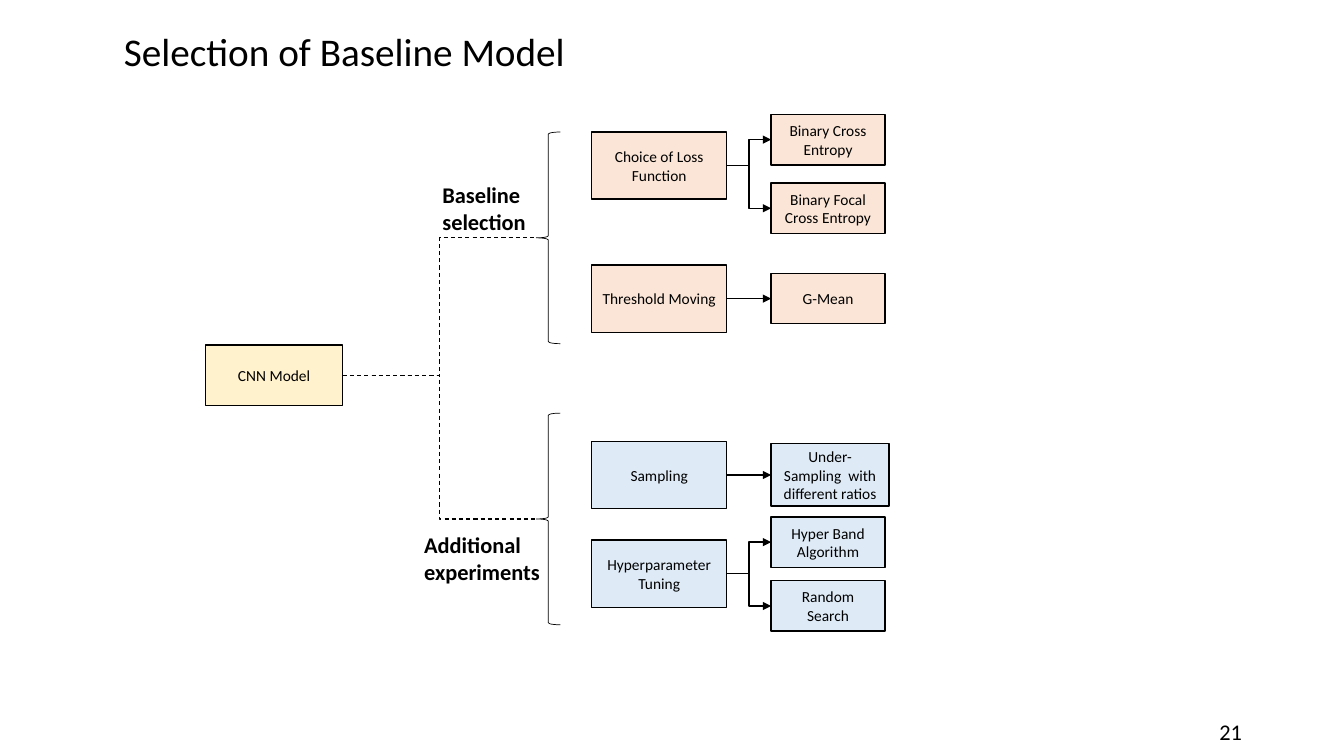
from dataclasses import dataclass

from lxml import etree
from pptx import Presentation
from pptx.dml.color import RGBColor
from pptx.enum.dml import MSO_LINE
from pptx.enum.shapes import MSO_CONNECTOR, MSO_SHAPE
from pptx.enum.text import MSO_ANCHOR, PP_ALIGN
from pptx.oxml.ns import qn
from pptx.shapes.autoshape import Shape
from pptx.slide import Slide
from pptx.util import Emu, Inches, Pt

RECT, BRACE = MSO_SHAPE.RECTANGLE, MSO_SHAPE.LEFT_BRACE
STRAIGHT, ELBOW = MSO_CONNECTOR.STRAIGHT, MSO_CONNECTOR.ELBOW
DASH, MIDDLE = MSO_LINE.DASH, MSO_ANCHOR.MIDDLE
LEFT, CENTER, RIGHT = PP_ALIGN.LEFT, PP_ALIGN.CENTER, PP_ALIGN.RIGHT

BLACK = RGBColor(0x00, 0x00, 0x00)
PEACH = RGBColor(0xFB, 0xE5, 0xD6)
BLUE = RGBColor(0xDE, 0xEB, 0xF7)
CREAM = RGBColor(0xFF, 0xF2, 0xCC)
FONT = "Calibri"

# Grid of square cells: 40 columns across the slide, 22.5 rows down
SLIDE_W, SLIDE_H = Inches(13.33), Inches(7.5)
CELL = SLIDE_W / 40
STEP_COL, STEP_W, STEP_H = 17.61, 4.02, 2
LEAF_COL, LEAF_W, LEAF_H = 22.95, 3.39, 1.5
BRACE_COL, BRACE_W, BRACE_H = 15.96, 0.72, 6.3
LEFT_SIDE, RIGHT_SIDE = 1, 3


@dataclass(frozen=True)
class Leaf:
    text: str
    mid_row: float
    width: float = LEAF_W
    height: float = LEAF_H


@dataclass(frozen=True)
class Step:
    text: str
    mid_row: float
    leaves: tuple[Leaf, ...]


@dataclass(frozen=True)
class Branch:
    label: tuple[str, ...]
    label_col: float
    label_row: float
    brace_row: float
    fill: RGBColor
    steps: tuple[Step, ...]


BRANCHES = (
    Branch(("Baseline", "selection"), 12.87, 5.25, 3.93, PEACH, (
        Step("Choice of Loss Function", 4.93, (
            Leaf("Binary Cross Entropy", 4.16),
            Leaf("Binary Focal Cross Entropy", 6.2))),
        Step("Threshold Moving", 8.89, (Leaf("G-Mean", 8.89),)),
    )),
    Branch(("Additional", "experiments"), 12.33, 15.66, 12.3, BLUE, (
        Step("Sampling", 14.14, (
            Leaf("Under-Sampling  with different ratios", 14.14, 3.51, 1.86),)),
        Step("Hyperparameter Tuning", 17.08, (
            Leaf("Hyper Band Algorithm", 16.14),
            Leaf("Random Search", 18.04))),
    )),
)


def cells(n: float) -> Emu:
    return Emu(round(n * CELL))


def write(s: Shape, lines: tuple[str, ...], size: float, align: PP_ALIGN,
          bold: bool = False) -> None:
    tf = s.text_frame
    tf.text = "\n".join(lines)
    for p in tf.paragraphs:
        p.alignment = align
        p.font.name, p.font.size, p.font.bold = FONT, Pt(size), bold
        p.font.color.rgb = BLACK


def add_label(slide: Slide, lines: tuple[str, ...], col: float, row: float,
              width: float, height: float, align: PP_ALIGN, bold: bool) -> None:
    s = slide.shapes.add_textbox(cells(col), cells(row), cells(width), cells(height))
    s.text_frame.word_wrap = True
    write(s, lines, 16, align, bold)


def add_box(slide: Slide, text: str, col: float, mid_row: float,
            width: float, height: float, fill: RGBColor) -> Shape:
    s = slide.shapes.add_shape(RECT, cells(col), cells(mid_row - height / 2),
                               cells(width), cells(height))
    s.shadow.inherit = False
    s.fill.solid()
    s.fill.fore_color.rgb = fill
    s.line.color.rgb, s.line.width = BLACK, Pt(1)
    s.text_frame.word_wrap = True
    s.text_frame.vertical_anchor = MIDDLE
    write(s, (text,), 11, CENTER)
    return s


def add_brace(slide: Slide, row: float) -> Shape:
    s = slide.shapes.add_shape(BRACE, cells(BRACE_COL), cells(row),
                               cells(BRACE_W), cells(BRACE_H))
    s.shadow.inherit = False
    s.fill.background()
    s.line.color.rgb, s.line.width = BLACK, Pt(0.5)
    return s


def connect(slide: Slide, start: Shape, end: Shape, kind: MSO_CONNECTOR,
            dashed: bool = False) -> None:
    """Join the right side of start to the left side of end."""
    c = slide.shapes.add_connector(kind, 0, 0, 0, 0)
    c.begin_connect(start, RIGHT_SIDE)
    c.end_connect(end, LEFT_SIDE)
    c.line.color.rgb = BLACK
    c.line.width = Pt(0.75 if dashed else 1)
    if dashed:
        c.line.dash_style = DASH
    else:
        ln = c.line._get_or_add_ln()
        etree.SubElement(ln, qn("a:tailEnd"), type="triangle")
    etree.SubElement(c._element.spPr, qn("a:effectLst"))


def add_branch(slide: Slide, root: Shape, branch: Branch) -> None:
    brace = add_brace(slide, branch.brace_row)
    connect(slide, root, brace, ELBOW, dashed=True)
    add_label(slide, branch.label, branch.label_col, branch.label_row,
              4.2, 1.92, LEFT, True)
    for step in branch.steps:
        box = add_box(slide, step.text, STEP_COL, step.mid_row,
                      STEP_W, STEP_H, branch.fill)
        kind = STRAIGHT if len(step.leaves) == 1 else ELBOW
        for leaf in step.leaves:
            end = add_box(slide, leaf.text, LEAF_COL, leaf.mid_row,
                          leaf.width, leaf.height, branch.fill)
            connect(slide, box, end, kind)


def main() -> None:
    prs = Presentation()
    prs.slide_width, prs.slide_height = SLIDE_W, SLIDE_H
    slide = prs.slides.add_slide(prs.slide_layouts[5])

    # Title
    title = slide.shapes.title
    title.left, title.top = cells(3.39), cells(0.3)
    title.width, title.height = cells(34.5), cells(2.61)
    title.text_frame.vertical_anchor = MIDDLE
    write(title, ("Selection of Baseline Model",), 28, LEFT)
    title.text_frame.paragraphs[0].line_spacing = 0.9

    # Model and its two branches
    root = add_box(slide, "CNN Model", 6.12, 11.17, 4.08, 1.8, CREAM)
    for branch in BRANCHES:
        add_branch(slide, root, branch)

    # Slide number
    add_label(slide, ("21",), 28.26, 21.24, 9, 1.2, RIGHT, False)

    prs.save("out.pptx")


if __name__ == "__main__":
    main()
